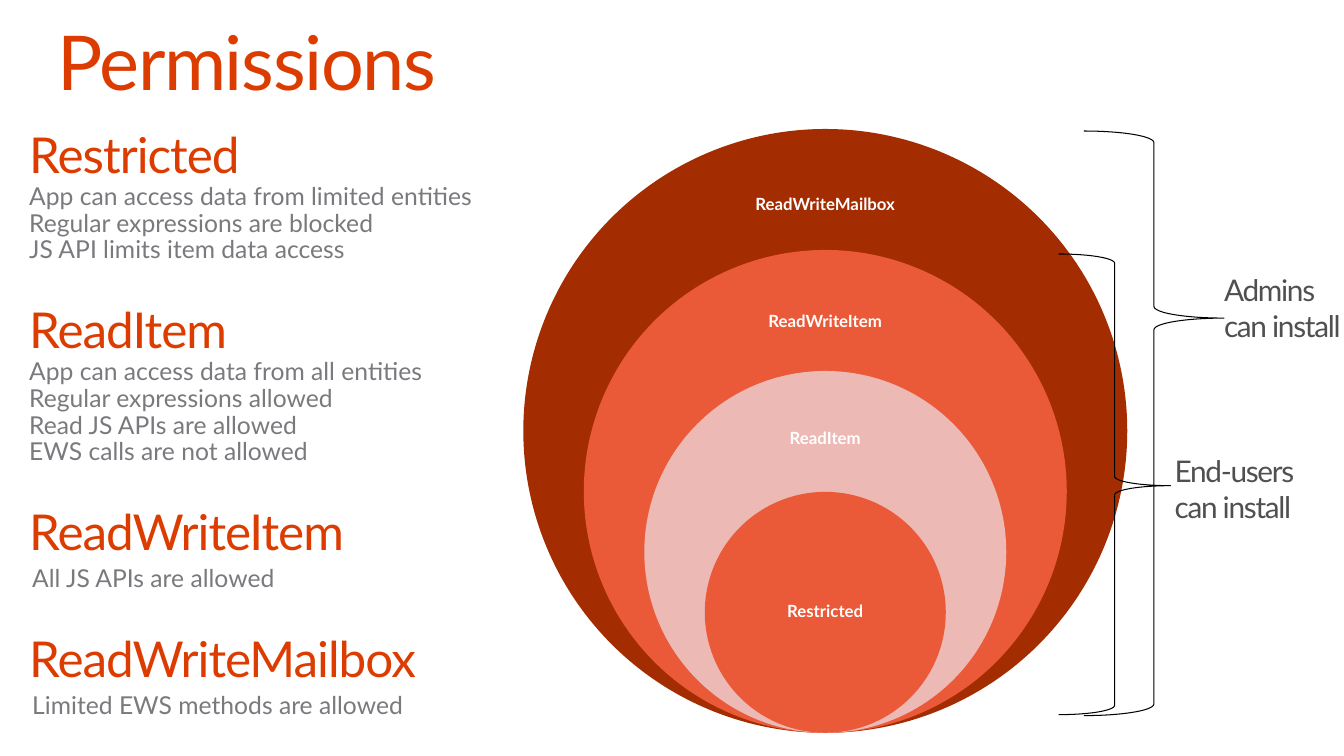
"""Build the Permissions slide: levels on the left, nested circles and braces on the right."""
from pptx import Presentation
from pptx.dml.color import RGBColor
from pptx.enum.shapes import MSO_SHAPE
from pptx.enum.text import MSO_ANCHOR, PP_ALIGN
from pptx.util import Inches, Pt

OVAL, BRACE = MSO_SHAPE.OVAL, MSO_SHAPE.RIGHT_BRACE
TOP, MIDDLE = MSO_ANCHOR.TOP, MSO_ANCHOR.MIDDLE
CENTER = PP_ALIGN.CENTER
COLORS = {"heading": "DC3C00", "detail": "797A7D", "note": "505050", "label": "FFFFFF",
          "dark": "A32C00", "orange": "EA5938", "pink": "EDB9B4", "brace": "000000"}

deck = Presentation()
deck.slide_width, deck.slide_height = Inches(13.33), Inches(7.5)
slide = deck.slides.add_slide(deck.slide_layouts[6])


def add_frame(left, top, width, height, anchor=TOP):
    frame = slide.shapes.add_textbox(*map(Inches, (left, top, width, height))).text_frame
    frame.margin_left = frame.margin_right = frame.margin_top = frame.margin_bottom = 0
    frame.word_wrap = True
    frame.vertical_anchor = anchor
    return frame


def write(paragraph, text, size, color, tracking=0, spacing=0.9, bold=False):
    paragraph.text = text
    paragraph.line_spacing = spacing
    for run in paragraph.runs:
        run.font.name = "Lato"
        run.font.size = Pt(size)
        run.font.bold = bold
        run.font.color.rgb = RGBColor.from_string(COLORS[color])
        run.font._element.set("spc", str(round(tracking * 100)))


title = add_frame(0.57, 0.25, 12.19, 0.82)
write(title.paragraphs[0], "Permissions", 54, "heading", -1)

levels = [
    ("Restricted", ["App can access data from limited entities",
                    "Regular expressions are blocked",
                    "JS API limits item data access"]),
    ("ReadItem", ["App can access data from all entities",
                  "Regular expressions allowed",
                  "Read JS APIs are allowed",
                  "EWS calls are not allowed"]),
    ("ReadWriteItem", ["All JS APIs are allowed"]),
    ("ReadWriteMailbox", ["Limited EWS methods are allowed"]),
]
body = add_frame(0.29, 1.3, 4.8, 6.2)
for index, (level, details) in enumerate(levels):
    heading = body.add_paragraph() if index else body.paragraphs[0]
    write(heading, level, 35.3, "heading", -0.7)
    heading.space_before = Pt(30 if index else 0)
    for detail in details:
        line = body.add_paragraph()
        write(line, detail, 17.6, "detail")
        if len(details) == 1:
            line.space_before = Pt(3.5)
            line._p.get_or_add_pPr().set("marL", str(Inches(0.03)))

center_x, circles_bottom, largest, step = 8.185, 7.27, 5.99, 1.2
rings = [("ReadWriteMailbox", "dark", 2.03), ("ReadWriteItem", "orange", 3.2),
         ("ReadItem", "pink", 4.36), ("Restricted", "orange", 6.07)]
for index, (level, color, label_y) in enumerate(rings):
    size = largest - step * index
    circle = slide.shapes.add_shape(OVAL, Inches(center_x - size / 2),
                                    Inches(circles_bottom - size), Inches(size), Inches(size))
    circle.shadow.inherit = False
    circle.fill.solid()
    circle.fill.fore_color.rgb = RGBColor.from_string(COLORS[color])
    circle.line.fill.background()
    label = add_frame(center_x - 0.84, label_y - 0.4, 1.68, 0.8, MIDDLE)
    write(label.paragraphs[0], level, 12, "label", bold=True)
    label.paragraphs[0].alignment = CENTER

installers = [
    ("End-users\vcan install", (10.5, 2.52, 1.11, 4.57), 0.503, (11.65, 4.49)),
    ("Admins can install", (10.75, 1.3, 1.39, 5.8), 0.32, (12.14, 2.7)),
]
for text, box, point, (left, top) in installers:
    brace = slide.shapes.add_shape(BRACE, *map(Inches, box))
    brace.shadow.inherit = False
    brace.fill.background()
    brace.line.color.rgb = RGBColor.from_string(COLORS["brace"])
    brace.line.width = Pt(0.75)
    brace.adjustments[0], brace.adjustments[1] = 0.083, point
    note = add_frame(left, top, 1.22, 0.72)
    write(note.paragraphs[0], text, 21.3, "note", -0.9, spacing=1.0)

deck.save("out.pptx")
